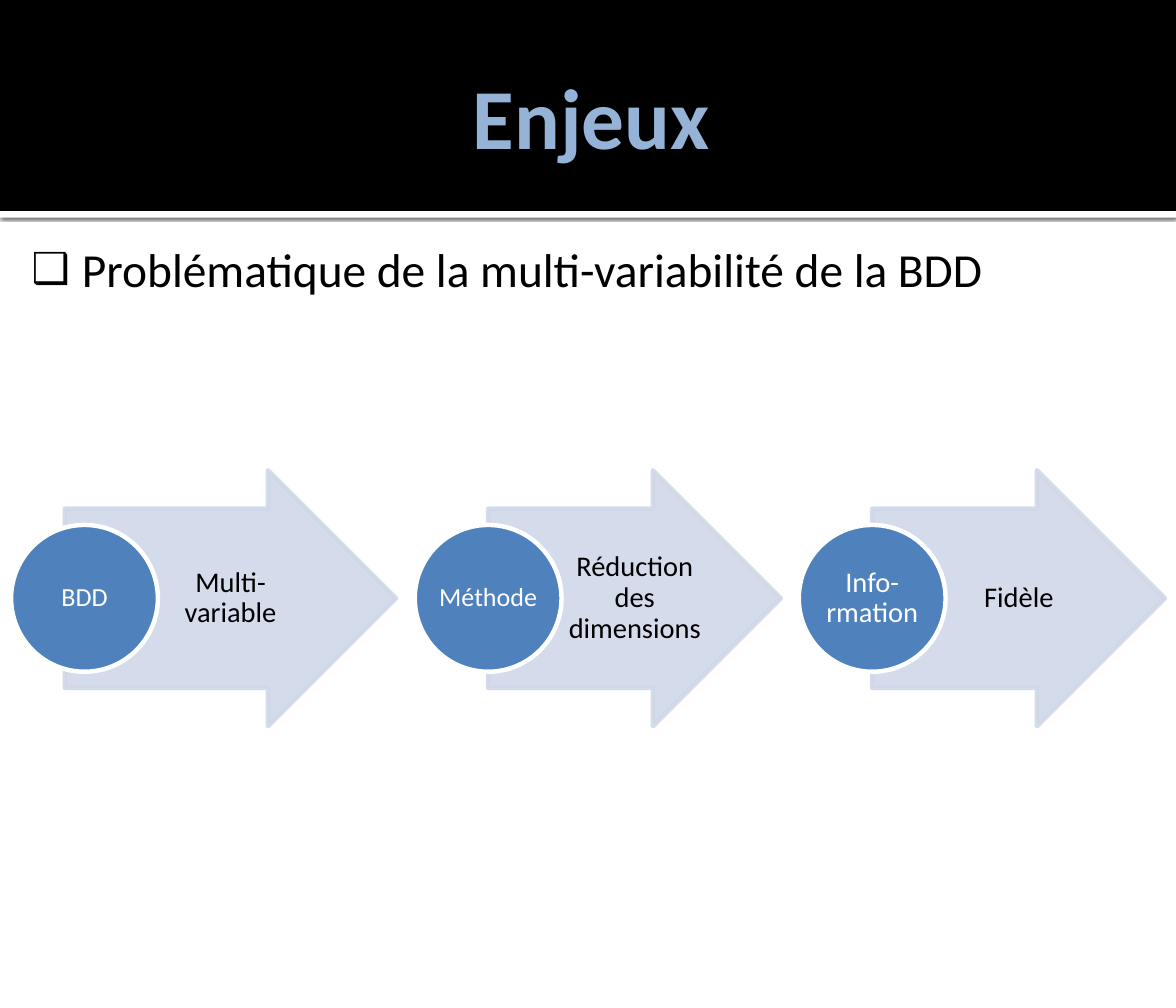
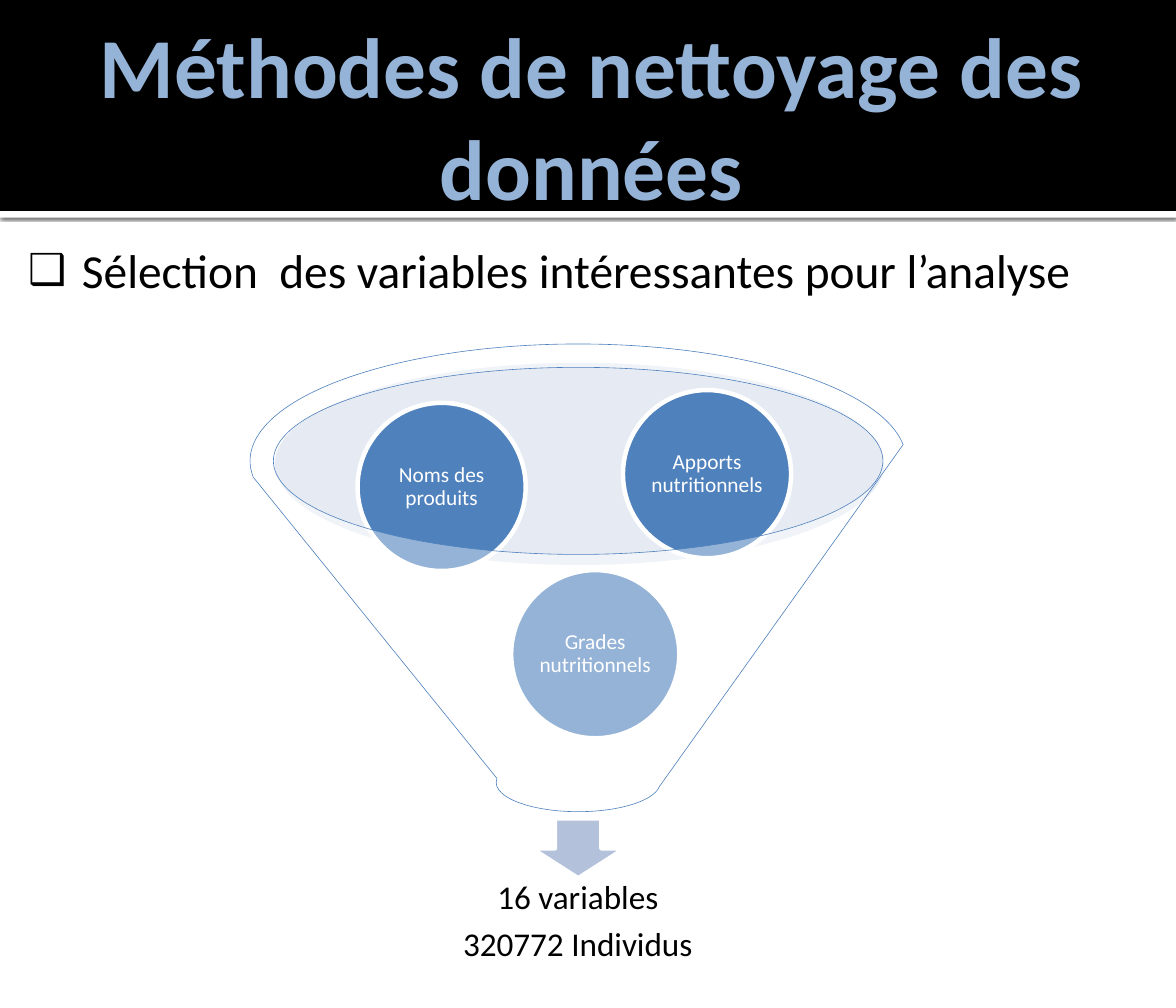
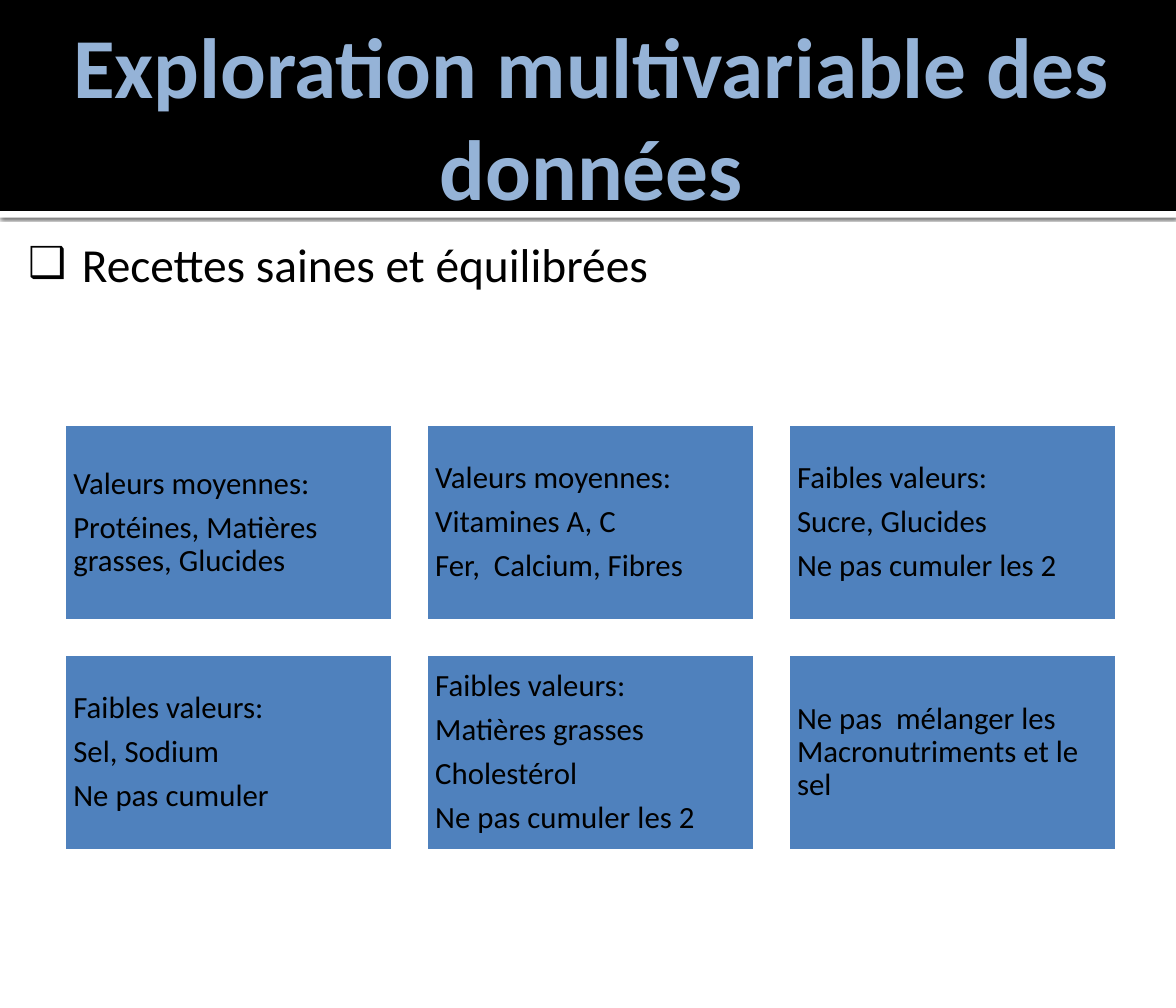
import dataclasses
import typing

import lxml.etree
import pptx
import pptx.dml.color
import pptx.enum.shapes
import pptx.enum.text
import pptx.oxml.ns
import pptx.util

Inches = pptx.util.Inches
Pt = pptx.util.Pt
Color = pptx.dml.color.RGBColor
Form = pptx.enum.shapes.MSO_SHAPE
Align = pptx.enum.text.PP_ALIGN
Anchor = pptx.enum.text.MSO_ANCHOR

BLACK = Color(0x00, 0x00, 0x00)
WHITE = Color(0xFF, 0xFF, 0xFF)
BLUE = Color(0x4F, 0x81, 0xBD)
SKY = Color(0x95, 0xB3, 0xD7)
PALE = Color(0xD0, 0xD8, 0xE8)
MIST = Color(0xC2, 0xCD, 0xE1)
STEEL = Color(0xB3, 0xC1, 0xDB)

FONT = "Calibri"
EDGE = 3.78
WIDE = 13.78
HIGH = 11.81
BAND = 2.47


class Box(typing.NamedTuple):
    left: float
    top: float
    width: float
    height: float


@dataclasses.dataclass(frozen=True)
class Step:
    disc: float
    arrow: float
    width: float
    label: str
    size: float
    text: str


@dataclasses.dataclass(frozen=True)
class Ball:
    left: float
    top: float
    text: str


STEPS = (
    Step(0.13, 0.76, 3.88, "BDD", 22, "Multi-variable"),
    Step(4.86, 5.72, 3.43, "Méthode", 22, "Réduction des dimensions"),
    Step(9.36, 10.22, 3.43, "Info-rmation", 24, "Fidèle"),
)
BALLS = (
    Ball(5.99, 6.68, "Grades nutritionnels"),
    Ball(4.19, 4.72, "Noms des produits"),
    Ball(7.3, 4.57, "Apports nutritionnels"),
)
CARDS = (
    "Valeurs moyennes:\nProtéines, Matières grasses, Glucides",
    "Valeurs moyennes:\nVitamines A, C\nFer,  Calcium, Fibres",
    "Faibles valeurs:\nSucre, Glucides\nNe pas cumuler les 2",
    "Faibles valeurs:\nSel, Sodium\nNe pas cumuler",
    "Faibles valeurs:\nMatières grasses\nCholestérol\nNe pas cumuler les 2",
    "Ne pas  mélanger les Macronutriments et le sel",
)


def add(parent: typing.Any, tag: str, **attrs: str) -> typing.Any:
    return lxml.etree.SubElement(parent, pptx.oxml.ns.qn(tag), attrs)


def fade(node: typing.Any, alpha: int) -> None:
    for tint in node.iter(pptx.oxml.ns.qn("a:srgbClr")):
        add(tint, "a:alpha", val=str(alpha * 1000))


def place(shape: typing.Any, box: Box) -> None:
    shape.left, shape.top, shape.width, shape.height = map(Inches, box)


def write(
    shape: typing.Any,
    text: str,
    *,
    size: float,
    color: Color = BLACK,
    bold: bool = False,
    align: Align = Align.CENTER,
    anchor: Anchor = Anchor.MIDDLE,
    inset: tuple[float, float, float, float] = (0.03, 0.03, 0.03, 0.03),
    line: float = 0.9,
    after: float | None = None,
    bullet: str = "",
    margin: float = 0,
    hang: float = 0,
) -> None:
    frame = shape.text_frame
    frame.text = text
    frame.word_wrap = True
    frame.auto_size = pptx.enum.text.MSO_AUTO_SIZE.NONE
    frame.vertical_anchor = anchor
    (frame.margin_left, frame.margin_top,
     frame.margin_right, frame.margin_bottom) = map(Inches, inset)
    for para in frame.paragraphs:
        para.alignment = align
        para.line_spacing = line
        para.space_before = Pt(0)
        para.space_after = Pt(0.35 * size if after is None else after)
        if bullet:
            props = para._p.get_or_add_pPr()
            props.set("marL", str(Inches(margin)))
            props.set("indent", str(-Inches(hang)))
            add(add(props, "a:buClr"), "a:srgbClr", val=str(color))
            add(props, "a:buSzPct", val="90000")
            add(props, "a:buChar", char=bullet)
        for run in para.runs:
            run.font.name = FONT
            run.font.size = Pt(size)
            run.font.bold = bold
            run.font.color.rgb = color


def draw(
    slide: typing.Any,
    form: Form,
    box: Box,
    fill: Color,
    *,
    line: Color | None = None,
    width: float = EDGE,
    alpha: int = 100,
) -> typing.Any:
    shape = slide.shapes.add_shape(form, *map(Inches, box))
    shape.shadow.inherit = False
    shape.fill.solid()
    shape.fill.fore_color.rgb = fill
    if alpha < 100:
        fade(shape.element.spPr, alpha)
    if line is None:
        shape.line.fill.background()
    else:
        shape.line.color.rgb = line
        shape.line.width = Pt(width)
    return shape


def label(slide: typing.Any, box: Box, text: str, **style: typing.Any) -> None:
    write(slide.shapes.add_textbox(*map(Inches, box)), text, **style)


def brand(layout: typing.Any, slide: typing.Any) -> None:
    strip = draw(slide, Form.RECTANGLE, Box(0, BAND, WIDE, 0.08), WHITE)
    glow = add(
        strip.element.spPr.find(pptx.oxml.ns.qn("a:effectLst")),
        "a:outerShdw",
        blurRad=str(Pt(2.5)), dist=str(Pt(0.8)), dir="5400000",
        algn="tl", rotWithShape="0",
    )
    add(glow, "a:srgbClr", val=str(BLACK))
    fade(glow, 60)
    band = draw(slide, Form.RECTANGLE, Box(0, 0, WIDE, BAND), BLACK)
    for spot, shape in enumerate((strip, band), start=2):
        layout.shapes.element.insert(spot, shape.element)


def setup(layout: typing.Any) -> None:
    for holder in list(layout.placeholders):
        kind = holder.placeholder_format.idx
        if kind == 0:
            place(holder, Box(0.69, 0.27, 12.4, 2.16))
        elif kind >= 10:
            layout.shapes.element.remove(holder.element)


def start(deck: typing.Any, layout: typing.Any, title: str, point: str, box: Box) -> typing.Any:
    slide = deck.slides.add_slide(layout)
    write(slide.shapes.title, title, size=72, color=SKY, bold=True,
          inset=(0.15, 0.07, 0.07, 0.07), line=1, after=0)
    body = slide.placeholders[1]
    place(body, box)
    margin = 0.87 - box.left
    write(body, point, size=40, align=Align.LEFT, anchor=Anchor.TOP,
          inset=(0.09, 0.15, 0.15, 0.07), line=1, after=6,
          bullet="❑", margin=margin, hang=min(margin, 0.63))
    return slide


def chain(slide: typing.Any) -> None:
    for step in STEPS:
        arrow = draw(slide, Form.RIGHT_ARROW, Box(step.arrow, 5.51, step.width, 3),
                     PALE, line=PALE, alpha=90)
        arrow.adjustments[0] = 0.7
        fade(arrow.line._ln, 90)
        label(slide, Box(step.arrow + step.width / 4, 5.96, step.width * 0.49, 2.1),
              step.text, size=24, inset=(0.07, 0.02, 0.03, 0.02))
        disc = draw(slide, Form.OVAL, Box(step.disc, 6.15, 1.72, 1.72), BLUE, line=WHITE)
        write(disc, step.label, size=step.size, color=WHITE,
              inset=(0.02, 0.02, 0.02, 0.02))


def sieve(slide: typing.Any) -> None:
    draw(slide, Form.OVAL, Box(3.22, 4.25, 7.14, 2.37), MIST, alpha=40)
    draw(slide, Form.DOWN_ARROW, Box(6.23, 9.59, 1.09, 0.7), STEEL, line=WHITE)
    label(slide, Box(4.15, 10.06, 5.24, 1.49), "16 variables\n320772 Individus",
          size=28, inset=(0.22, 0.22, 0.22, 0.22))
    for ball in BALLS:
        disc = draw(slide, Form.OVAL, Box(ball.left, ball.top, 1.97, 1.97), BLUE, line=WHITE)
        write(disc, ball.text, size=18, color=WHITE)
    draw(slide, Form.FUNNEL, Box(2.93, 4.03, 7.69, 5.48), WHITE,
         line=BLUE, width=0.5, alpha=40)


def grid(slide: typing.Any) -> None:
    width, height, gap = 3.86, 2.31, 0.38
    for spot, text in enumerate(CARDS):
        row, col = divmod(spot, 3)
        box = Box(0.75 + col * (width + gap), 4.97 + row * (height + gap), width, height)
        card = draw(slide, Form.RECTANGLE, box, BLUE, line=WHITE)
        write(card, text, size=26, align=Align.LEFT, inset=(0.11, 0.11, 0.11, 0.11))


def main() -> None:
    deck = pptx.Presentation()
    deck.slide_width, deck.slide_height = Inches(WIDE), Inches(HIGH)
    layout = deck.slide_layouts[1]
    setup(layout)
    first = start(deck, layout, "Enjeux",
                  "Problématique de la multi-variabilité de la BDD",
                  Box(0.28, 2.66, 11.58, 0.89))
    brand(layout, first)
    chain(first)
    sieve(start(deck, layout, "Méthodes de nettoyage des données",
                "Sélection  des variables intéressantes pour l’analyse",
                Box(0.05, 2.68, 12.77, 0.89)))
    grid(start(deck, layout, "Exploration multivariable des données",
               "Recettes saines et équilibrées",
               Box(0.05, 2.6, 13.73, 0.89)))
    deck.save("out.pptx")


if __name__ == "__main__":
    main()
